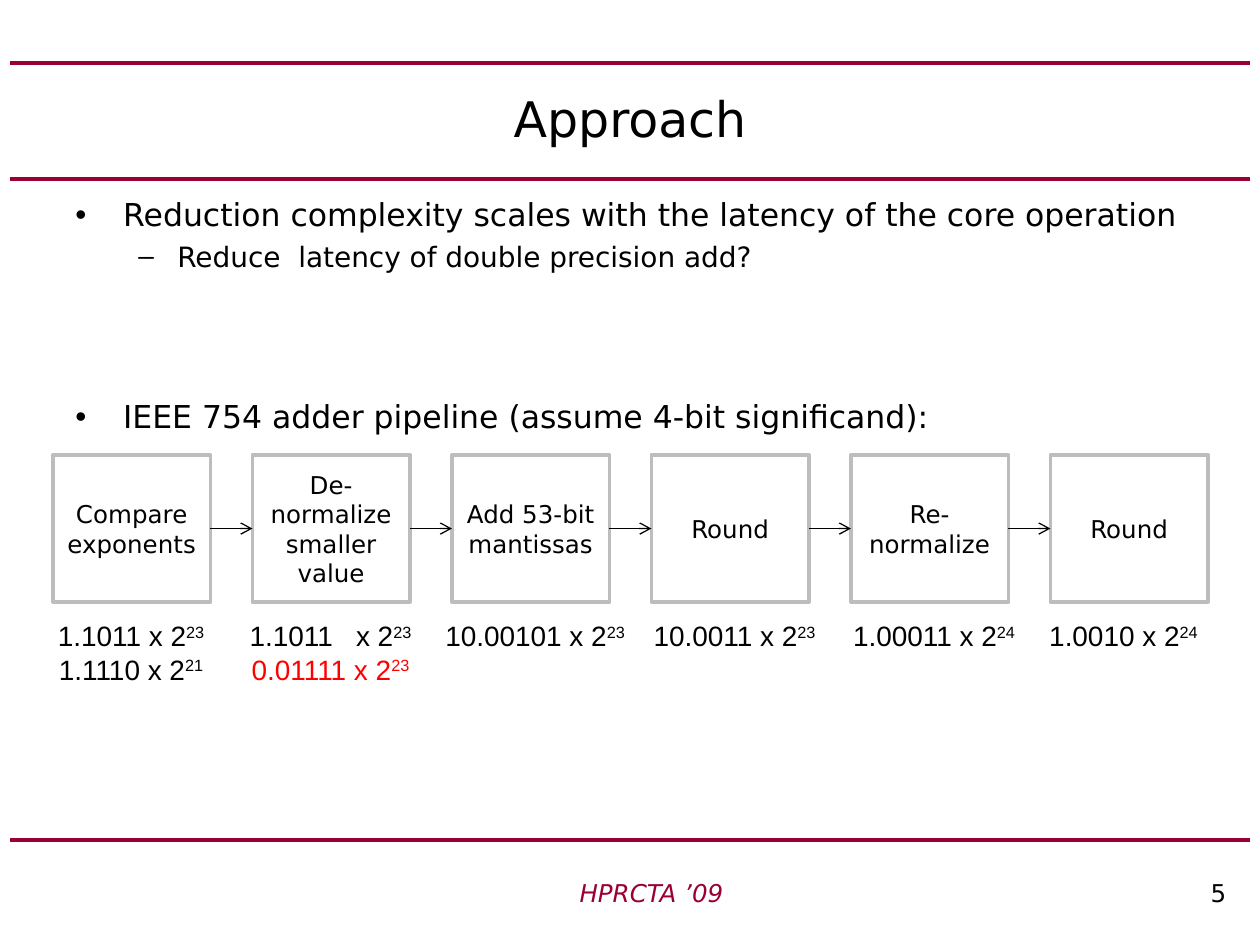
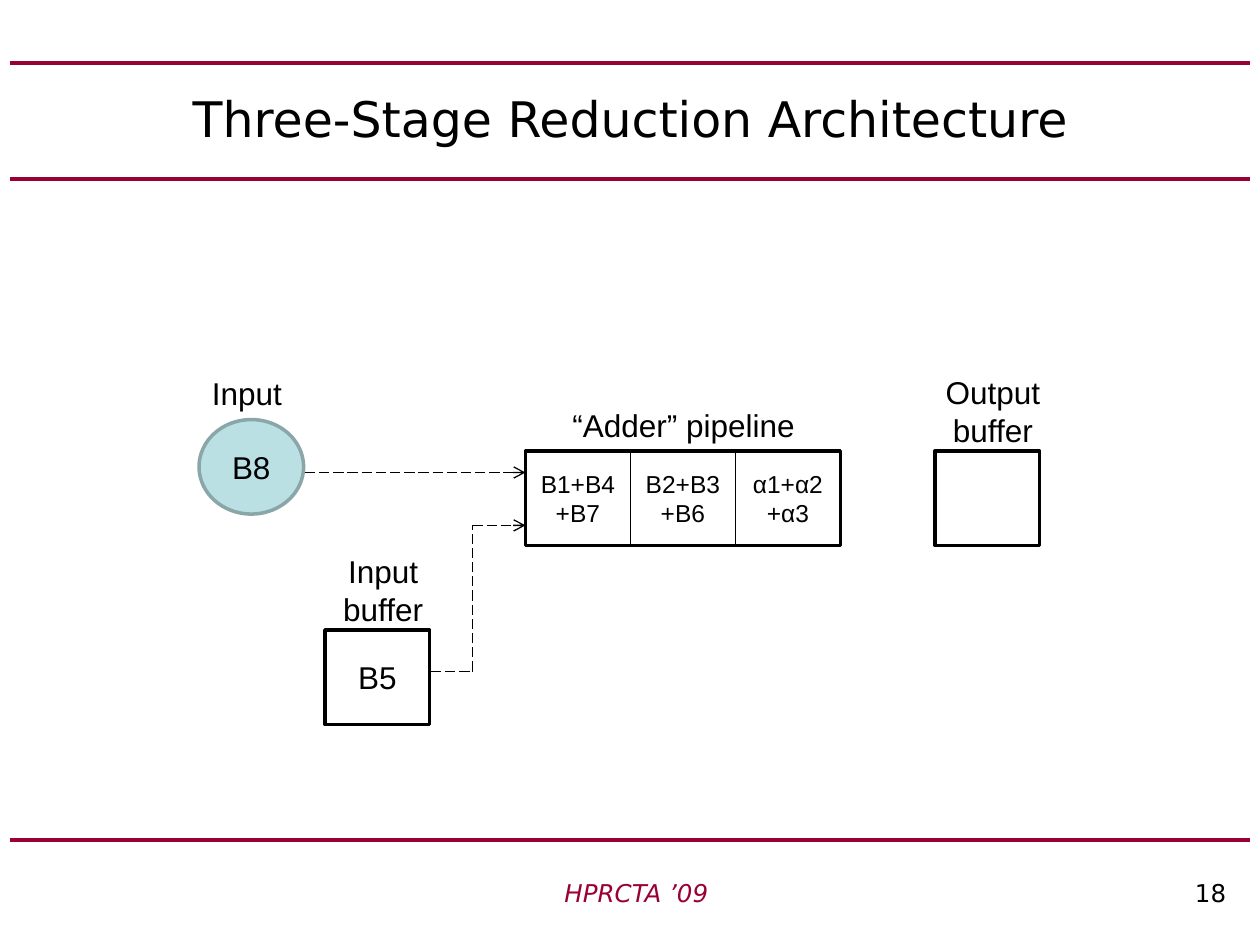
import pptx
import pptx.util
import pptx.dml.color
import pptx.enum.dml
import pptx.enum.shapes
import pptx.enum.text
import pptx.oxml.ns
import pptx.oxml.xmlchemy

Inches = pptx.util.Inches
Pt = pptx.util.Pt
Align = pptx.enum.text.PP_ALIGN
Anchor = pptx.enum.text.MSO_ANCHOR
Shape = pptx.enum.shapes.MSO_SHAPE
qn = pptx.oxml.ns.qn

COLORS = {
    "rule": "990033",
    "ink": "000000",
    "paper": "FFFFFF",
    "frame": "BDBDBD",
    "alert": "FF0000",
    "ball": "BBE0E3",
    "rim": "8AA6A8",
}
SANS, ARIAL = "DejaVu Sans", "Arial"


def rgb(name):
    return pptx.dml.color.RGBColor.from_string(COLORS[name])


def style(font, size, face, color="ink"):
    font.size, font.name = Pt(size), face
    font.color.rgb = rgb(color)


def element(tag, **attrs):
    node = pptx.oxml.xmlchemy.OxmlElement(tag)
    for key, value in attrs.items():
        node.set(key, value)
    return node


def write(frame, lines, size, face, color="ink", align=Align.CENTER,
          anchor=Anchor.TOP):
    frame.word_wrap = True
    frame.vertical_anchor = anchor
    for i, line in enumerate(lines):
        para = frame.add_paragraph() if i else frame.paragraphs[0]
        para.text, para.alignment = line, align
        style(para.font, size, face, color)


def label(slide, box, lines, size, face=ARIAL, **look):
    frame = slide.shapes.add_textbox(*map(Inches, box)).text_frame
    write(frame, lines, size, face, **look)
    return frame


def block(slide, box, edge, text="", size=18, face=ARIAL,
          kind=Shape.RECTANGLE, fill="paper"):
    shape = slide.shapes.add_shape(kind, *map(Inches, box))
    shape.shadow.inherit = False
    shape.fill.solid()
    shape.fill.fore_color.rgb = rgb(fill)
    shape.line.color.rgb = rgb(edge)
    shape.line.width = Pt(2)
    if text:
        write(shape.text_frame, [text], size, face, anchor=Anchor.MIDDLE)


def line(slide, ends, color="ink", width=0.75, dash=False, arrow=False):
    link = slide.shapes.add_connector(
        pptx.enum.shapes.MSO_CONNECTOR.STRAIGHT, *map(Inches, ends))
    link.line.color.rgb = rgb(color)
    link.line.width = Pt(width)
    if dash:
        link.line.dash_style = pptx.enum.dml.MSO_LINE.LONG_DASH
    props = link._element.spPr
    if arrow:
        props.find(qn("a:ln")).append(element("a:tailEnd", type="arrow"))
    props.append(element("a:effectLst"))


def page(deck, title, number):
    """Add a slide with the shared rules, title and footer."""
    slide = deck.slides.add_slide(deck.slide_layouts[6])
    for y in (0.5, 1.42, 6.67):
        line(slide, (0.08, y, 9.92, y), "rule", 2.25)
    label(slide, (0.5, 0.5, 9, 0.87), [title], 28, SANS, anchor=Anchor.MIDDLE)
    # The event name gives way to the left for each further digit.
    right = 5.96 - 0.12 * len(number)
    event = label(slide, (right - 2, 6.92, 2, 0.33), ["HPRCTA ’09"], 14, SANS,
                  color="rule", align=Align.RIGHT)
    event.paragraphs[0].font.italic = True
    label(slide, (8.83, 6.92, 1, 0.33), [number], 14, SANS, align=Align.RIGHT)
    return slide


def points(slide, box, items):
    """Write bullets given as (text, size, mark, indent, hang, gap)."""
    frame = label(slide, box, [item[0] for item in items], 18, SANS,
                  align=Align.LEFT)
    for para, (_, size, mark, indent, hang, gap) in zip(frame.paragraphs, items):
        para.font.size, para.space_before = Pt(size), Pt(gap)
        props = para._p.get_or_add_pPr()
        props.set("marL", str(Inches(indent)))
        props.set("indent", str(-Inches(hang)))
        fonts = props.find(qn("a:defRPr"))
        fonts.addprevious(element("a:buFont", typeface=ARIAL))
        fonts.addprevious(element("a:buChar", char=mark))


def powers(slide, box, values):
    """Write each (factor, exponent, colour) as factor x 2 to the exponent."""
    frame = label(slide, box, [f"{factor} x 2" for factor, _, _ in values], 16)
    for para, (_, power, color) in zip(frame.paragraphs, values):
        para.font.color.rgb = rgb(color)
        run = para.add_run()
        run.text = power
        run.font._element.set("baseline", "30000")


def stages(slide, left, top, steps):
    wide, high, pitch = 1.25, 1.17, 9.5 / 6
    for i, (name, shift, values) in enumerate(steps):
        x = left + i * pitch
        block(slide, (x, top, wide, high), "frame", name, 14, SANS)
        if i:
            y = top + high / 2
            line(slide, (x - pitch + wide, y, x, y), arrow=True)
        powers(slide, (x + wide / 2 - 0.92 + shift, top + 1.25, 1.83, 0.64),
               values)


def approach(deck):
    slide = page(deck, "Approach", "5")
    points(slide, (0.5, 1.5, 9, 3.42), [
        ("Reduction complexity scales with the latency of the core operation",
         18, "•", 0.38, 0.38, 4),
        ("Reduce  latency of double precision add?", 16, "–", 0.81, 0.31, 3.7),
        ("IEEE 754 adder pipeline (assume 4-bit significand):",
         18, "•", 0.38, 0.38, 71),
    ])
    stages(slide, 0.42, 3.61, [
        ("Compare exponents", 0,
         [("1.1011", "23", "ink"), ("1.1110", "21", "ink")]),
        ("De-normalize smaller value", 0,
         [("1.1011  ", "23", "ink"), ("0.01111", "23", "alert")]),
        ("Add 53-bit mantissas", 0.04, [("10.00101", "23", "ink")]),
        ("Round", 0.04, [("10.0011", "23", "ink")]),
        ("Re-normalize", 0.04, [("1.00011", "24", "ink")]),
        ("Round", -0.04, [("1.0010", "24", "ink")]),
    ])


def adder(slide, box, sums):
    left, top, wide, high = box
    cell = wide / len(sums)
    block(slide, box, "ink")
    label(slide, (left - 0.08, top - 0.41, wide + 0.17, 0.4),
          ["“Adder” pipeline"], 18)
    for i, text in enumerate(sums):
        x = left + i * cell
        if i:
            line(slide, (x, top, x, top + high))
        label(slide, (x, top, cell, high), [text], 14, anchor=Anchor.MIDDLE)


def buffer(slide, left, top, name, text=""):
    block(slide, (left, top, 0.83, 0.75), "ink", text)
    label(slide, (left - 0.08, top - 0.67, 1.08, 0.71), [name, "buffer"], 18)


def routes(slide):
    line(slide, (2.42, 3.75, 4.17, 3.75), dash=True, arrow=True)
    turns = [(3.42, 5.33), (3.75, 5.33), (3.75, 4.17), (4.17, 4.17)]
    for start, end in zip(turns, turns[1:]):
        line(slide, start + end, dash=True, arrow=end == turns[-1])


def reduction(deck):
    slide = page(deck, "Three-Stage Reduction Architecture", "18")
    block(slide, (1.58, 3.33, 0.83, 0.75), "rim", "B8", kind=Shape.OVAL,
          fill="ball")
    label(slide, (1.42, 2.92, 1.08, 0.4), ["Input"], 18)
    adder(slide, (4.17, 3.58, 2.5, 0.75), ["B1+B4+B7", "B2+B3+B6", "α1+α2+α3"])
    buffer(slide, 2.58, 5, "Input", "B5")
    buffer(slide, 7.42, 3.58, "Output")
    routes(slide)


def main():
    deck = pptx.Presentation()
    deck.slide_width, deck.slide_height = Inches(10), Inches(7.5)
    approach(deck)
    reduction(deck)
    deck.save("out.pptx")


if __name__ == "__main__":
    main()
